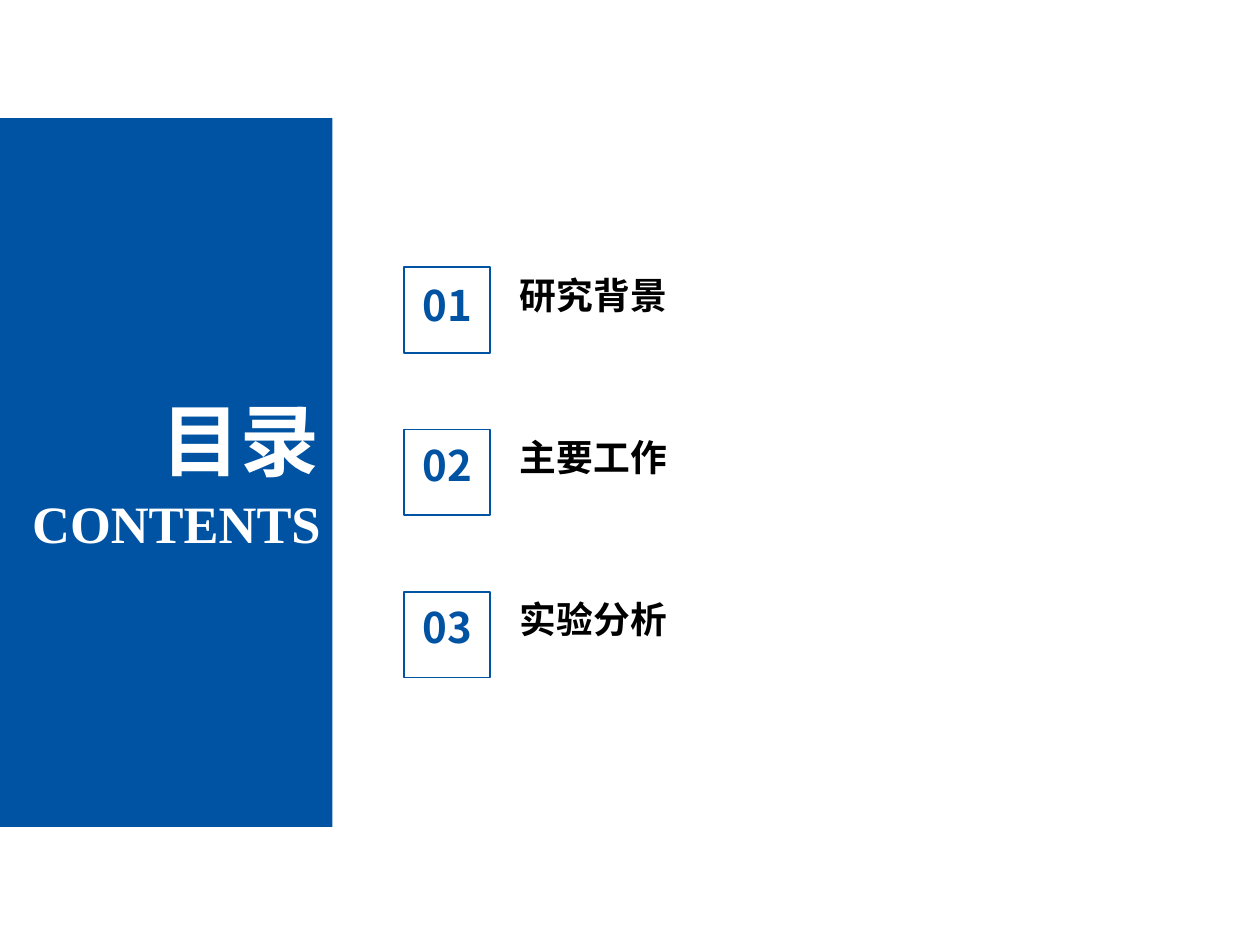
from dataclasses import dataclass
from lxml.etree import SubElement
from pptx import Presentation
from pptx.dml.color import RGBColor as Rgb
from pptx.enum.shapes import MSO_SHAPE as Shape
from pptx.enum.text import MSO_ANCHOR as Anchor, MSO_AUTO_SIZE as Fit, PP_ALIGN as Align
from pptx.oxml.ns import qn
from pptx.util import Pt


@dataclass(frozen=True)
class Theme:
    blue: Rgb = Rgb(0x00, 0x53, 0xA3)
    white: Rgb = Rgb(0xFF, 0xFF, 0xFF)
    black: Rgb = Rgb(0x00, 0x00, 0x00)
    sans: str = "Noto Sans CJK SC"
    serif: str = "Times New Roman"
    head: int = 45
    sub: int = 30
    num: int = 24
    item: int = 21


theme = Theme()


def write(shape, text, size, color, font=theme.sans, align=Align.LEFT):
    frame = shape.text_frame
    frame.word_wrap = True
    frame.auto_size = Fit.SHAPE_TO_FIT_TEXT
    frame.vertical_anchor = Anchor.MIDDLE
    para = frame.paragraphs[0]
    para.alignment = align
    para.line_spacing = 1.0
    para.space_before = Pt(0)
    run = para.add_run()
    run.text = text
    run.font.name = font
    run.font.size = Pt(size)
    run.font.bold = True
    run.font.color.rgb = color
    SubElement(run.font._element, qn("a:ea"), typeface=font)


deck = Presentation()
deck.slide_width, deck.slide_height = Pt(720), Pt(540)
slide = deck.slides.add_slide(deck.slide_layouts[5])
shapes = slide.shapes

panel = shapes.add_shape(Shape.RECTANGLE, Pt(0), Pt(67.5), Pt(190), Pt(405))
panel.shadow.inherit = False
panel.fill.solid()
panel.fill.fore_color.rgb = theme.blue
panel.line.fill.background()

title = shapes.title
title.left, title.top, title.width, title.height = Pt(52.5), Pt(220), Pt(137), Pt(62)
title.element.addprevious(panel.element)
write(title, "目录", theme.head, theme.white, align=Align.RIGHT)

sub = shapes.add_textbox(Pt(0), Pt(277.2), Pt(190.5), Pt(43.2))
write(sub, "CONTENTS", theme.sub, theme.white, font=theme.serif, align=Align.RIGHT)

left, top, side, step = 231, 152.7, 49, 92.7
rows = [("研究背景", 3.6), ("主要工作", 2.2), ("实验分析", 1.8)]
for i, (name, drop) in enumerate(rows):
    y = top + i * step
    group = shapes.add_group_shape().shapes

    label = group.add_textbox(Pt(290), Pt(y - 0.7), Pt(141), Pt(32.4))
    write(label, name, theme.item, theme.black)

    num = group.add_textbox(Pt(left - 2), Pt(y + drop), Pt(side + 4), Pt(36))
    write(num, f"{i + 1:02}", theme.num, theme.blue, align=Align.CENTER)

    box = group.add_shape(Shape.RECTANGLE, Pt(left), Pt(y), Pt(side), Pt(side))
    box.shadow.inherit = False
    box.fill.background()
    box.line.color.rgb = theme.blue
    box.line.width = Pt(1)

deck.save("out.pptx")
